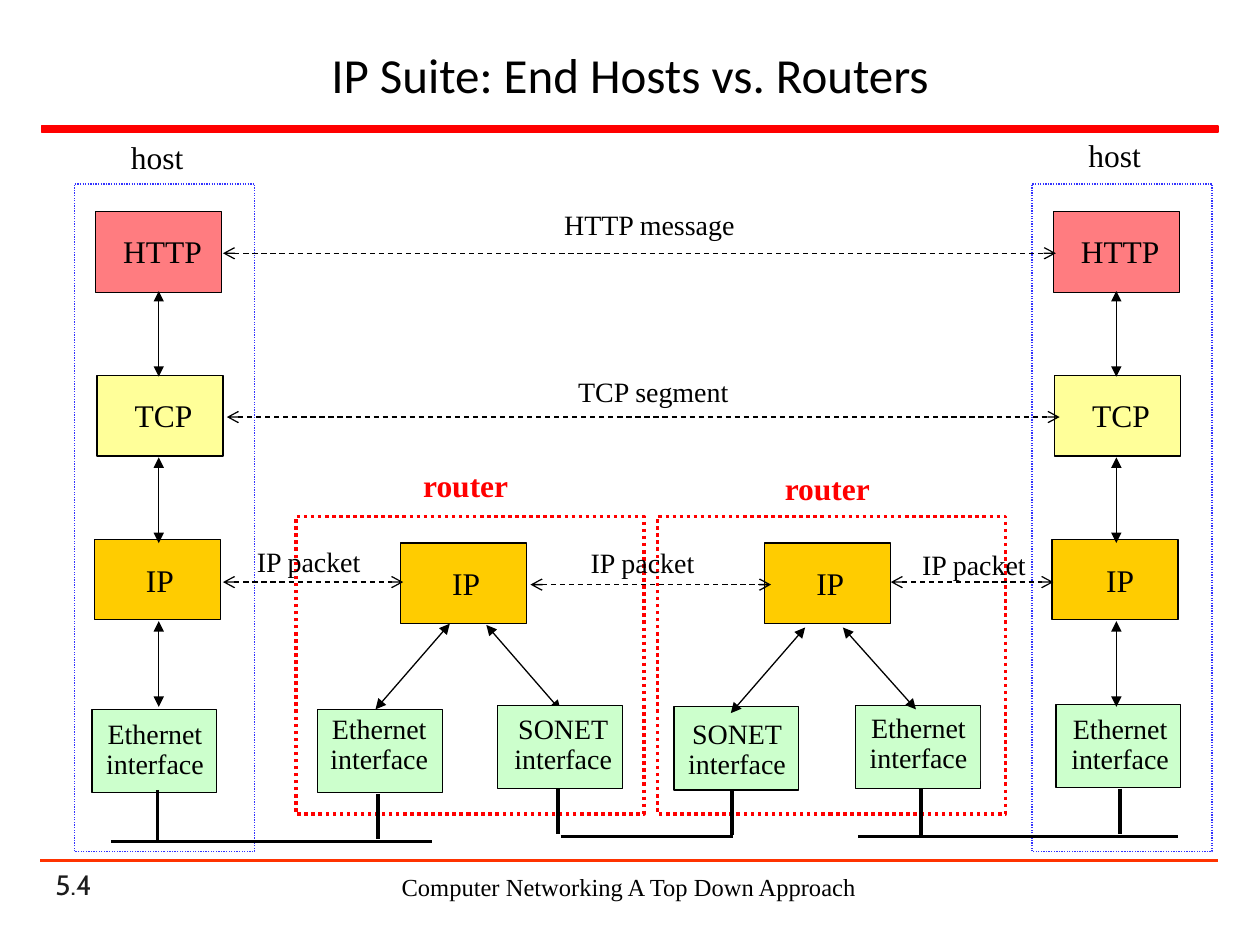
from dataclasses import dataclass
from enum import Enum

from lxml import etree
from pptx import Presentation
from pptx import util as u
from pptx.dml.color import RGBColor
from pptx.enum import dml, shapes, text
from pptx.oxml import ns

PX = 9144  # EMU in one px, 100 px to the inch
HOST_GAP = 760
DASH = dml.MSO_LINE
MID, LEFT = text.PP_ALIGN.CENTER, text.PP_ALIGN.LEFT
TOP = text.MSO_ANCHOR.TOP


@dataclass(frozen=True)
class Theme:
    serif: str = "Times New Roman"
    sans: str = "Calibri"
    page: str = "Cabin"
    black: str = "000000"
    gray: str = "1C1C1C"
    red: str = "FF0000"
    rule: str = "FF3300"
    blue: str = "3333FF"
    pink: str = "FF7C80"
    lemon: str = "FFFF99"
    gold: str = "FFCC00"
    mint: str = "CCFFCC"
    title: int = 28
    large: int = 18
    small: int = 16
    foot: int = 14
    thin: float = 0.75
    mid: float = 1.5
    thick: float = 2


T = Theme()


@dataclass(frozen=True)
class Box:
    x: int
    y: int
    w: int
    h: int
    fill: str | None = None
    line: str = T.black
    width: float = T.thin
    dash: DASH | None = None


@dataclass(frozen=True)
class Label:
    x: int
    y: int
    w: int
    h: int
    words: str
    size: int = T.large
    font: str = T.serif
    color: str = T.black
    bold: bool = False
    align: text.PP_ALIGN = LEFT
    anchor: text.MSO_ANCHOR = TOP
    space: float | None = None
    fill: str | None = None
    wrap: bool = False


@dataclass(frozen=True)
class Link:
    x1: int
    y1: int
    x2: int
    y2: int
    width: float = T.thin
    color: str = T.black
    ends: str | None = None
    dash: DASH | None = None


class Layer(Enum):
    """Words, fill, box size and label size of a protocol layer."""
    HTTP = ("HTTP", T.pink, 100, 64, 83, 40)
    TCP = ("TCP", T.lemon, 100, 64, 66, 40)
    IP = ("IP", T.gold, 100, 64, 42, 40)
    ETHER = ("Ethernet\ninterface", T.mint, 99, 66, 98, 58)
    SONET = ("SONET\ninterface", T.mint, 99, 66, 98, 58)


def box(slide, b: Box) -> None:
    shape = slide.shapes.add_shape(
        shapes.MSO_SHAPE.RECTANGLE, *(n * PX for n in (b.x, b.y, b.w, b.h)))
    shape.shadow.inherit = False
    if b.fill:
        shape.fill.solid()
        shape.fill.fore_color.rgb = RGBColor.from_string(b.fill)
    else:
        shape.fill.background()
    shape.line.color.rgb = RGBColor.from_string(b.line)
    shape.line.width = u.Pt(b.width)
    if b.dash:
        shape.line.dash_style = b.dash


def label(slide, t: Label) -> None:
    shape = slide.shapes.add_textbox(*(n * PX for n in (t.x, t.y, t.w, t.h)))
    if t.fill:
        shape.fill.solid()
        shape.fill.fore_color.rgb = RGBColor.from_string(t.fill)
    frame = shape.text_frame
    frame.word_wrap = t.wrap
    frame.vertical_anchor = t.anchor
    frame.text = t.words
    for para in frame.paragraphs:
        para.alignment = t.align
        if t.space:
            para.line_spacing = t.space
        font = para.font
        font.name, font.size, font.bold = t.font, u.Pt(t.size), t.bold
        font.color.rgb = RGBColor.from_string(t.color)


def link(slide, k: Link) -> None:
    line = slide.shapes.add_connector(
        shapes.MSO_CONNECTOR.STRAIGHT, *(n * PX for n in (k.x1, k.y1, k.x2, k.y2)))
    line.line.color.rgb = RGBColor.from_string(k.color)
    line.line.width = u.Pt(k.width)
    if k.dash:
        line.line.dash_style = k.dash
    if k.ends:
        for tag in ("a:headEnd", "a:tailEnd"):
            etree.SubElement(line.line._get_or_add_ln(), ns.qn(tag), type=k.ends)
    etree.SubElement(line._element.spPr, ns.qn("a:effectLst"))


def node(slide, layer: Layer, x: int, y: int, dx: int, dy: int, solid: bool = False) -> None:
    """Draw a layer box with its label dx, dy inside; a solid label hides what it covers."""
    words, fill, w, h, tw, th = layer.value
    box(slide, Box(x, y, w, h, fill))
    two = "\n" in words
    label(slide, Label(x + dx, y + dy, tw, th, words, T.small if two else T.large,
                       align=MID if two else LEFT, space=0.9 if two else None,
                       fill=fill if solid else None))


def arrow(slide, *ends: int) -> None:
    link(slide, Link(*ends, ends="triangle"))


def wire(slide, *ends: int) -> None:
    link(slide, Link(*ends, width=T.thick))


def host(slide, x: int, top: int, ip: int, ether: tuple[int, ...]) -> None:
    """Draw an end host; top is its caption, ip the label inset, ether the last box."""
    node(slide, Layer.HTTP, x + 17, 168, 12, 11)
    node(slide, Layer.TCP, x + 18, 298, 20, 11)
    node(slide, Layer.IP, x + 16, 428, ip, 12)
    node(slide, Layer.ETHER, *ether)
    for y in (231, 363, 493):
        arrow(slide, x + 67, y, x + 67, y + 68)
    box(slide, Box(x, 146, 143, 530, line=T.blue, dash=DASH.ROUND_DOT))
    label(slide, Label(x + 35, top, 65, 40, "host"))


def router(slide, x: int, top: int) -> None:
    box(slide, Box(x, 410, 276, 236, line=T.red, width=T.thick, dash=DASH.ROUND_DOT))
    label(slide, Label(x + 91, top, 88, 40, "router", color=T.red, bold=True))


def peer(slide, x1: int, x2: int, y: int, t: Label) -> None:
    """Draw the dashed exchange between two equal layers, with its caption."""
    link(slide, Link(x1, y, x2, y, ends="arrow", dash=DASH.DASH))
    label(slide, t)


def main() -> None:
    deck = Presentation()
    deck.slide_width, deck.slide_height = 1000 * PX, 750 * PX
    slide = deck.slides.add_slide(deck.slide_layouts[6])

    label(slide, Label(34, 698, 208, 22, "5.4", T.small, T.page, T.gray,
                       anchor=text.MSO_ANCHOR.BOTTOM, wrap=True))
    box(slide, Box(33, 100, 934, 5, T.red, T.red, 1))
    link(slide, Link(32, 683, 967, 683, T.mid, T.rule))
    label(slide, Label(295, 687, 408, 34, "Computer Networking A Top Down Approach",
                       T.foot, align=MID, wrap=True))
    label(slide, Label(33, 24, 934, 70, "IP Suite: End Hosts vs. Routers", T.title,
                       T.sans, align=MID, anchor=text.MSO_ANCHOR.MIDDLE, wrap=True))

    host(slide, 59, 105, 31, (73, 563, 1, 4))
    host(slide, 59 + HOST_GAP, 103, 33, (838, 559, 2, 4))

    for x in (318, 607):
        node(slide, Layer.IP, x, 431, 31, 12)
    node(slide, Layer.ETHER, 252, 563, 0, 0)
    node(slide, Layer.ETHER, 679, 560, 1, 2, solid=True)
    arrow(slide, 386, 496, 445, 564)
    node(slide, Layer.SONET, 395, 560, 3, 3)
    node(slide, Layer.SONET, 535, 561, 1, 6)
    for ends in ((357, 495, 298, 563), (639, 498, 580, 566), (669, 498, 727, 563)):
        arrow(slide, *ends)
    router(slide, 235, 365)
    router(slide, 522, 367)

    for x, y1, y2 in ((125, 627, 668), (300, 630, 666), (443, 626, 662),
                      (581, 627, 663), (731, 626, 665), (889, 626, 662)):
        wire(slide, x, y1, x, y2)
    for x1, x2, y in ((88, 343, 668), (445, 582, 664), (681, 935, 664)):
        wire(slide, x1, y, x2, y)

    peer(slide, 177, 838, 201, Label(438, 160, 157, 37, "HTTP message", T.small))
    peer(slide, 180, 841, 331, Label(449, 292, 141, 37, "TCP segment", T.small))
    for x1, x2, y, tx, ty in ((177, 320, 462, 194, 427), (421, 612, 464, 459, 428),
                              (707, 836, 462, 722, 430)):
        peer(slide, x1, x2, y, Label(tx, ty, 104, 37, "IP packet", T.small))

    deck.save("out.pptx")


if __name__ == "__main__":
    main()
